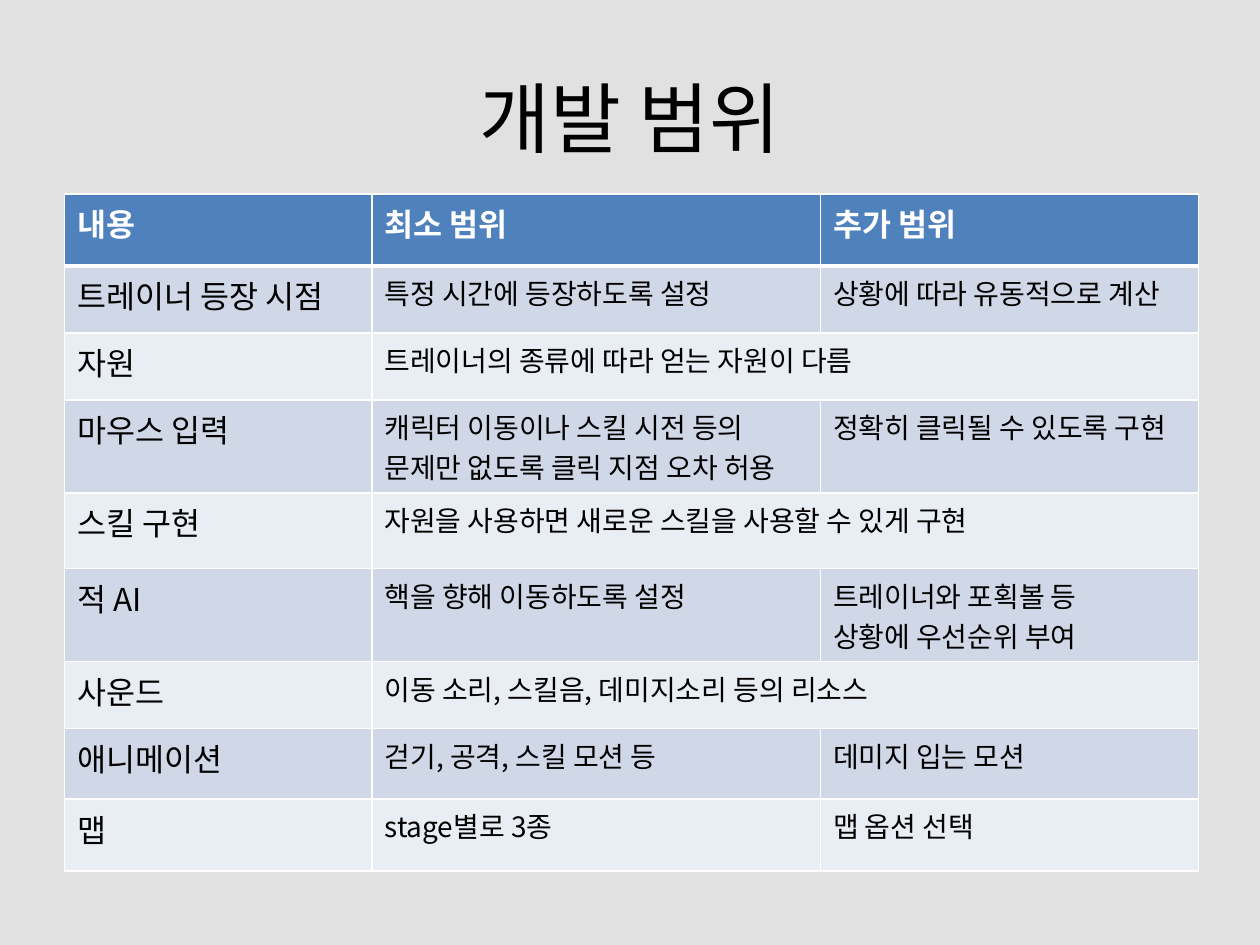
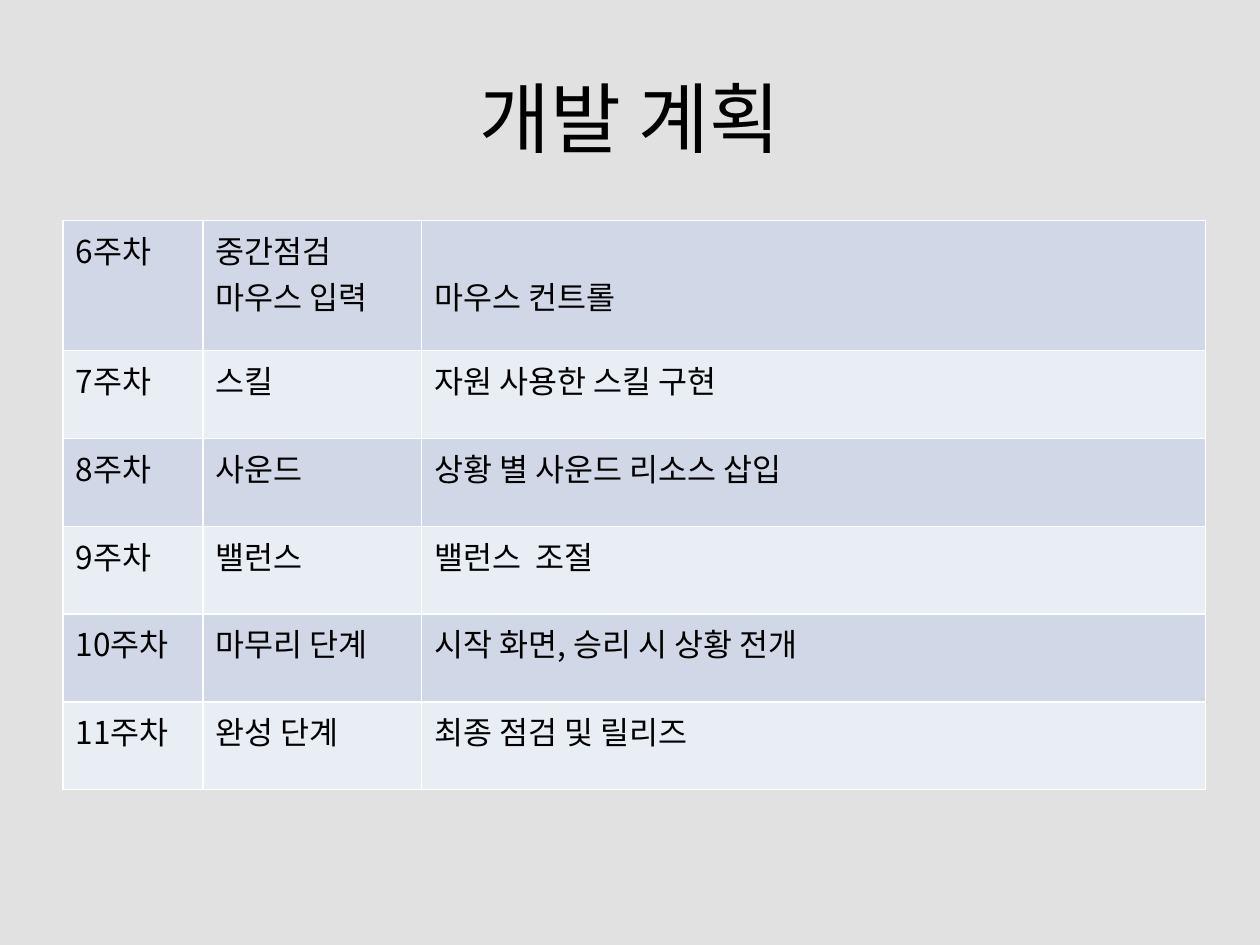
"""Builds the development scope and development plan slides."""
import pptx
import pptx.dml.color
import pptx.enum.text
import pptx.oxml
import pptx.oxml.ns
import pptx.util
import lxml.etree

Cm = pptx.util.Cm
Pt = pptx.util.Pt
FONT = "Noto Sans CJK KR"
COLORS = {
    "background": "E1E1E1",
    "header": "4F81BD",
    "odd": "D0D8E8",
    "even": "E9EDF4",
    "border": "FFFFFF",
    "header text": "FFFFFF",
    "text": "000000",
}


def style_text(frame, size, color="text", bold=False):
    for paragraph in frame.paragraphs:
        font = paragraph.font
        font.size = Pt(size)
        font.bold = bold
        font.name = FONT
        font.color.rgb = pptx.dml.color.RGBColor.from_string(COLORS[color])
        defaults = paragraph._p.pPr.find(pptx.oxml.ns.qn("a:defRPr"))
        lxml.etree.SubElement(defaults, pptx.oxml.ns.qn("a:ea"), typeface=FONT)


def add_borders(cell, top=1, bottom=1):
    properties = cell._tc.get_or_add_tcPr()
    for side, points in (("L", 1), ("R", 1), ("T", top), ("B", bottom)):
        properties.append(pptx.oxml.parse_xml(
            f'<a:ln{side} {pptx.oxml.ns.nsdecls("a")} w="{Pt(points)}">'
            f'<a:solidFill><a:srgbClr val="{COLORS["border"]}"/></a:solidFill></a:ln{side}>'))


scope = {
    "title": "개발 범위",
    "left": 1.3,
    "top": 3.91,
    "columns": [6.2, 9.04, 7.62],
    "heights": [1.45, 1.35, 1.35, 1.88, 1.52, 1.88, 1.35, 1.42, 1.45],
    "has_header": True,
    "detail_size": 16,
    "rows": [
        ["내용", "최소 범위", "추가 범위"],
        ["트레이너 등장 시점", "특정 시간에 등장하도록 설정", "상황에 따라 유동적으로 계산"],
        ["자원", "트레이너의 종류에 따라 얻는 자원이 다름"],
        ["마우스 입력", "캐릭터 이동이나 스킬 시전 등의 문제만 없도록 클릭 지점 오차 허용",
         "정확히 클릭될 수 있도록 구현"],
        ["스킬 구현", "자원을 사용하면 새로운 스킬을 사용할 수 있게 구현"],
        ["적 AI", "핵을 향해 이동하도록 설정", "트레이너와 포획볼 등\n상황에 우선순위 부여"],
        ["사운드", "이동 소리, 스킬음, 데미지소리 등의 리소스"],
        ["애니메이션", "걷기, 공격, 스킬 모션 등", "데미지 입는 모션"],
        ["맵", "stage별로 3종", "맵 옵션 선택"],
    ],
}
plan = {
    "title": "개발 계획",
    "left": 1.27,
    "top": 4.45,
    "columns": [2.82, 4.41, 15.8],
    "heights": [2.62] + [1.77] * 5,
    "has_header": False,
    "detail_size": 18,
    "rows": [
        ["6주차", "중간점검\n마우스 입력", "마우스 컨트롤"],
        ["7주차", "스킬", "자원 사용한 스킬 구현"],
        ["8주차", "사운드", "상황 별 사운드 리소스 삽입"],
        ["9주차", "밸런스", "밸런스  조절"],
        ["10주차", "마무리 단계", "시작 화면, 승리 시 상황 전개"],
        ["11주차", "완성 단계", "최종 점검 및 릴리즈"],
    ],
}

deck = pptx.Presentation()
deck.slide_width = Cm(25.4)
deck.slide_height = Cm(19.05)
schedules = []

for topic in (scope, plan):
    slide = deck.slides.add_slide(deck.slide_layouts[6])
    background = slide.background.fill
    background.solid()
    background.fore_color.rgb = pptx.dml.color.RGBColor.from_string(COLORS["background"])

    title = slide.shapes.add_textbox(Cm(1.27), Cm(0.76), Cm(22.86), Cm(3.18)).text_frame
    title.word_wrap = True
    title.vertical_anchor = pptx.enum.text.MSO_ANCHOR.MIDDLE
    title.text = topic["title"]
    title.paragraphs[0].alignment = pptx.enum.text.PP_ALIGN.CENTER
    style_text(title, 44)

    rows, columns, heights = topic["rows"], topic["columns"], topic["heights"]
    table = slide.shapes.add_table(
        len(rows), len(columns), Cm(topic["left"]), Cm(topic["top"]),
        Cm(sum(columns)), Cm(sum(heights))).table
    table.first_row = topic["has_header"]
    schedules.append(table)
    for column, width in zip(table.columns, columns):
        column.width = Cm(width)
    for row, height in zip(table.rows, heights):
        row.height = Cm(height)

    for r, entries in enumerate(rows):
        is_header = topic["has_header"] and r == 0
        below_header = topic["has_header"] and r == 1
        band = "header" if is_header else ("odd", "even")[(r - topic["has_header"]) % 2]
        for c in range(len(columns)):
            cell = table.cell(r, c)
            add_borders(cell, top=3 if below_header else 1, bottom=3 if is_header else 1)
            cell.fill.solid()
            cell.fill.fore_color.rgb = pptx.dml.color.RGBColor.from_string(COLORS[band])
            if c < len(entries):
                cell.text = entries[c]
                size = 18 if is_header or c == 0 else topic["detail_size"]
                style_text(cell.text_frame, size, "header text" if is_header else "text", is_header)
        if len(entries) < len(columns):
            table.cell(r, len(entries) - 1).merge(table.cell(r, len(columns) - 1))

mouse_control = schedules[1].cell(0, 2)
mouse_control.margin_top = Cm(1.05)

deck.save("out.pptx")
